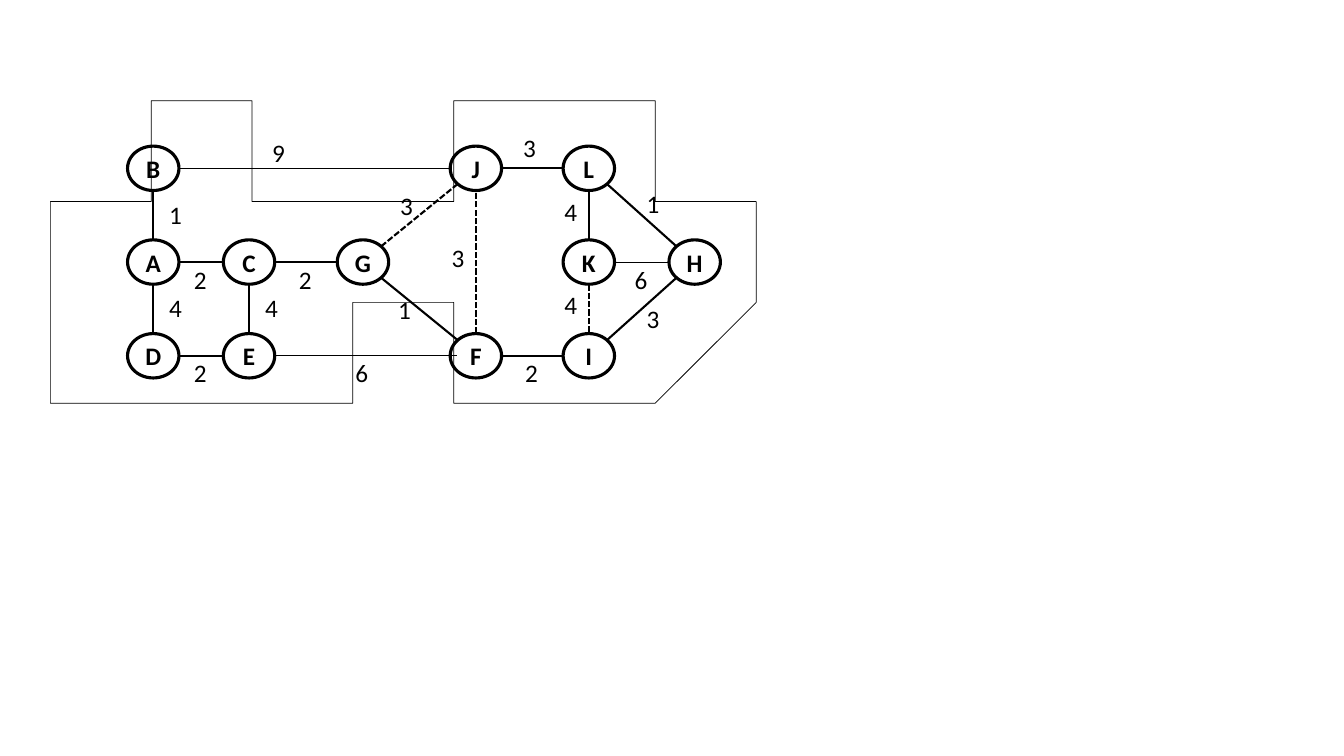
from lxml.etree import SubElement
from pptx import Presentation
from pptx.dml.color import RGBColor
from pptx.enum.dml import MSO_LINE
from pptx.enum.shapes import MSO_CONNECTOR, MSO_SHAPE
from pptx.enum.text import MSO_ANCHOR, MSO_AUTO_SIZE, PP_ALIGN
from pptx.oxml.ns import qn
from pptx.util import Inches, Pt

COLORS = {"ink": "000000", "paper": "FFFFFF"}
FONT = "Calibri"
NODE_W, NODE_H = 0.51, 0.44
LABEL_W, LABEL_H = 0.28, 0.4
DIAGONAL = 0.5 ** 0.5
COLUMNS = [1.02, 1.97, 3.1, 4.22, 5.34, 6.39]
ROW_TOP, ROW_STEP = 0.67, 0.93
GRID = ["B--JL-", "ACG-KH", "DE-FI-"]
THIN, THICK = 0.5, 1.5
OVERLAP = {"EF": 0.07}
SIDES = {
    "right": (0.06, -0.21),
    "left": (-0.34, -0.24),
    "below": (-0.17, -0.03),
    "above": (-0.19, -0.41),
    "far above": (-0.52, -0.36),
    "upper left": (-0.29, -0.3),
    "lower left": (-0.31, -0.19),
    "upper right": (-0.05, -0.32),
    "lower right": (-0.05, -0.1),
}
EDGES = [
    ("BJ", "9", "far above"), ("LJ", "3", "above"), ("LH", "1", "upper right"),
    ("KL", "4", "left"), ("KI", "4", "left"), ("FI", "2", "below"),
    ("GF", "1", "lower left"), ("GJ", "3", "upper left"), ("CG", "2", "below"),
    ("BA", "1", "right"), ("AD", "4", "right"), ("CE", "4", "right"),
    ("AC", "2", "below"), ("DE", "2", "below"), ("KH", "6", "below"),
    ("IH", "3", "lower right"), ("EF", "6", "below"), ("FJ", "3", "left"),
]
THIN_EDGES = {"BJ", "KH", "EF"}
DASHED_EDGES = {"KI", "GJ", "FJ"}
CURVE_STEPS = 4
OUTLINE = [
    (7.03, 1.75), (6.75, 1.41), (6.21, 0.82), (5.8, 0.35), (5.29, 0.2),
    (5.03, 0.12), (4.13, 0.2), (3.92, 0.27), (3.52, 0.67), (2.94, 0.97),
    (2.4, 1.18), (2.0, 1.13), (1.77, 0.86), (1.56, 0.47), (1.38, 0.28),
    (0.82, 0.22), (0.68, 0.38), (0.52, 0.71), (0.35, 1.14), (0.26, 1.31),
    (0.1, 1.84), (0.07, 2.11), (0.21, 2.36), (0.48, 2.64), (0.9, 2.88),
    (1.41, 2.92), (2.5, 3.17), (2.71, 3.07), (2.81, 2.67), (2.72, 2.39),
    (2.55, 2.17), (2.79, 2.11), (3.42, 2.16), (3.7, 2.47), (4.03, 2.81),
    (4.49, 3.03), (4.87, 3.17), (5.41, 3.14), (5.7, 3.0), (6.28, 2.71),
    (6.49, 2.52), (6.57, 2.11), (6.83, 1.82), (7.01, 1.61), (6.97, 1.28),
    (6.81, 1.14), (6.53, 1.17),
]


def rgb(name):
    return RGBColor.from_string(COLORS[name])


def set_line(shape, width):
    shape.line.color.rgb = rgb("ink")
    shape.line.width = Pt(width)


def add_text(tf, text, bold=False):
    p = tf.paragraphs[0]
    r = p.add_run()
    r.text = text
    r.font.name = FONT
    r.font.size = Pt(18)
    r.font.bold = bold
    r.font.color.rgb = rgb("ink")
    return p


def add_node(s, name, x, y):
    sp = s.shapes.add_shape(
        MSO_SHAPE.OVAL, Inches(x - NODE_W / 2), Inches(y - NODE_H / 2),
        Inches(NODE_W), Inches(NODE_H))
    sp.shadow.inherit = False
    sp.fill.solid()
    sp.fill.fore_color.rgb = rgb("paper")
    set_line(sp, 2.25)
    tf = sp.text_frame
    tf.vertical_anchor = MSO_ANCHOR.MIDDLE
    add_text(tf, name, bold=True).alignment = PP_ALIGN.CENTER


def rim_point(start, end):
    dx, dy = [(b > a) - (b < a) for a, b in zip(start, end)]
    reach = DIAGONAL if dx and dy else 1
    return start[0] + dx * reach * NODE_W / 2, start[1] + dy * reach * NODE_H / 2


def add_edge(s, ends, start, end):
    x1, y1 = rim_point(start, end)
    x2, y2 = rim_point(end, start)
    line = s.shapes.add_connector(
        MSO_CONNECTOR.STRAIGHT, Inches(x1), Inches(y1),
        Inches(x2 + OVERLAP.get(ends, 0)), Inches(y2))
    set_line(line, THIN if ends in THIN_EDGES else THICK)
    if ends in DASHED_EDGES:
        line.line.dash_style = MSO_LINE.SQUARE_DOT
    SubElement(line._element.spPr, qn("a:effectLst"))


def add_weight(s, text, x, y):
    tb = s.shapes.add_textbox(Inches(x), Inches(y), Inches(LABEL_W), Inches(LABEL_H))
    tf = tb.text_frame
    tf.word_wrap = False
    tf.auto_size = MSO_AUTO_SIZE.SHAPE_TO_FIT_TEXT
    add_text(tf, text)


def smooth_points(points):
    padded = [points[0], *points, points[-1]]
    for before, start, end, after in zip(padded, padded[1:], padded[2:], padded[3:]):
        for step in range(1, CURVE_STEPS + 1):
            t = step / CURVE_STEPS
            yield tuple(
                b + t / 2 * (c - a + t * (2 * a - 5 * b + 4 * c - d
                                          + t * (3 * (b - c) + d - a)))
                for a, b, c, d in zip(before, start, end, after))


def add_outline(s, left, top):
    builder = s.shapes.build_freeform(*OUTLINE[0], scale=Inches(1))
    builder.add_line_segments(list(smooth_points(OUTLINE)), close=False)
    sp = builder.convert_to_shape(Inches(left), Inches(top))
    sp.shadow.inherit = False
    sp.fill.background()
    set_line(sp, THIN)


def add_graph(s, left, top):
    centers = {
        name: (left + x, top + ROW_TOP + i * ROW_STEP)
        for i, row in enumerate(GRID)
        for x, name in zip(COLUMNS, row) if name != "-"
    }
    for name, center in centers.items():
        add_node(s, name, *center)
    for ends, weight, side in EDGES:
        start, end = [centers[name] for name in ends]
        add_edge(s, ends, start, end)
        x, y = [(a + b) / 2 + d for a, b, d in zip(start, end, SIDES[side])]
        add_weight(s, weight, x, y)
    add_outline(s, left, top)


def main():
    prs = Presentation()
    prs.slide_width, prs.slide_height = Inches(13.33), Inches(7.5)
    s = prs.slides.add_slide(prs.slide_layouts[6])
    add_graph(s, 0.5, 1)
    prs.save("out.pptx")


if __name__ == "__main__":
    main()
